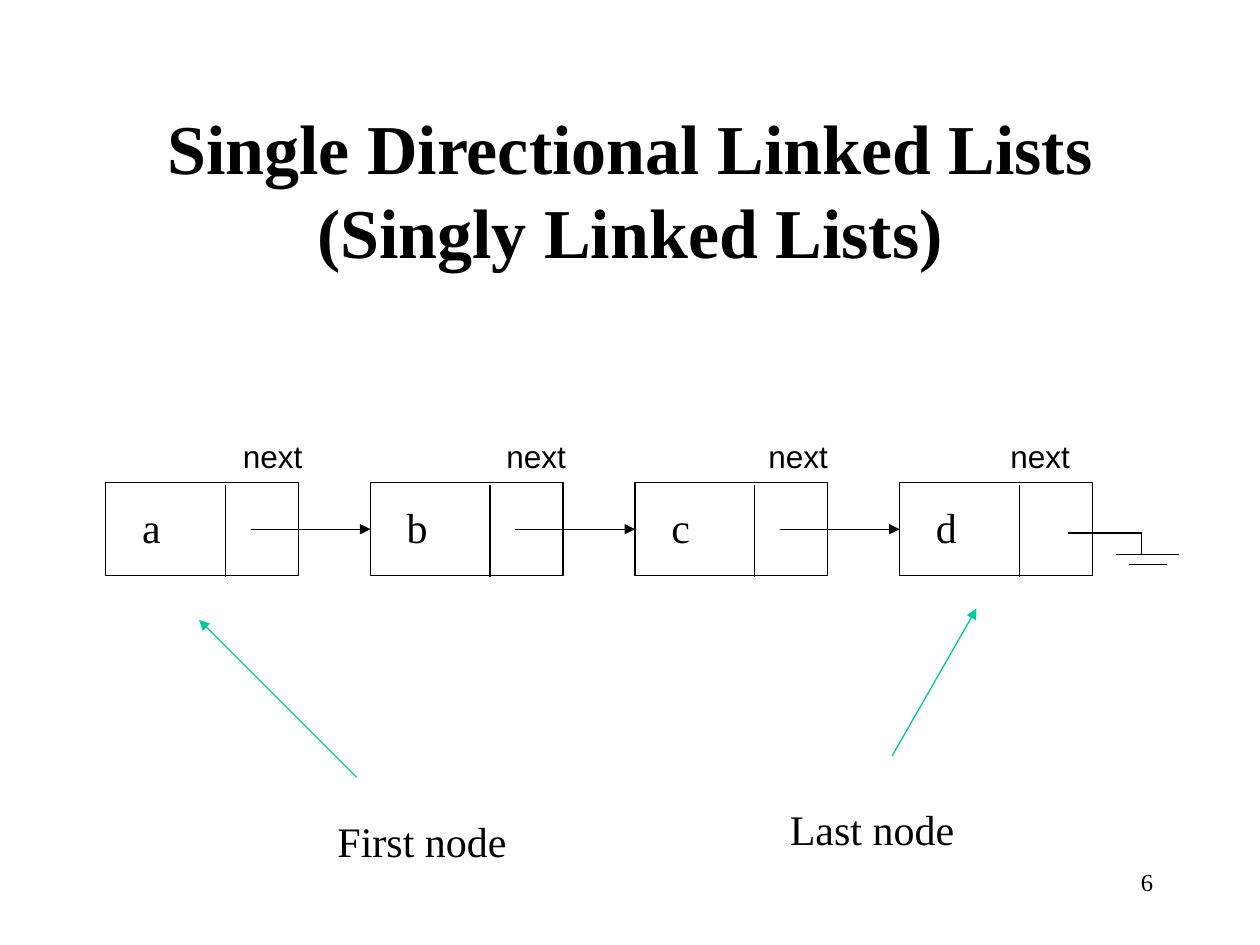
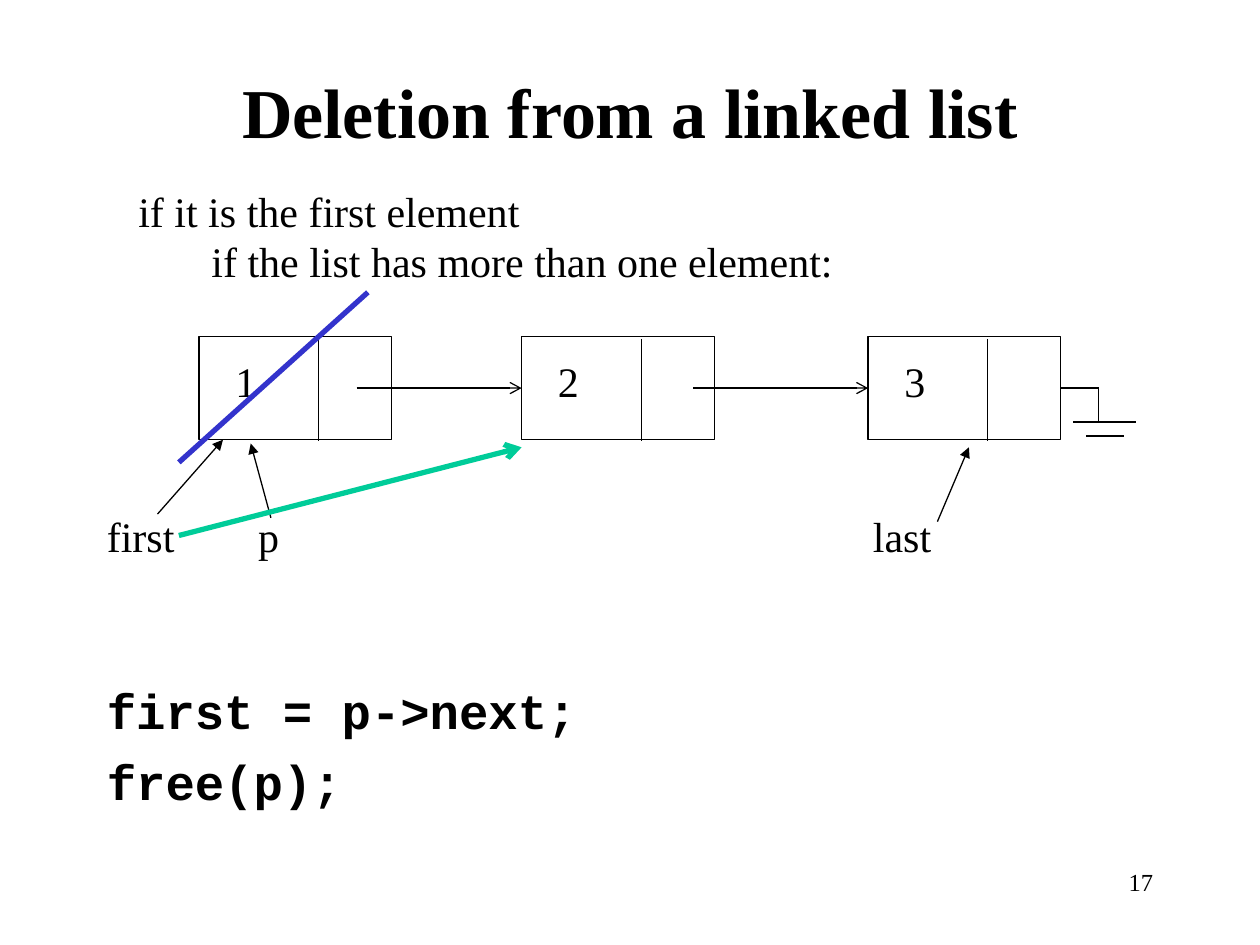
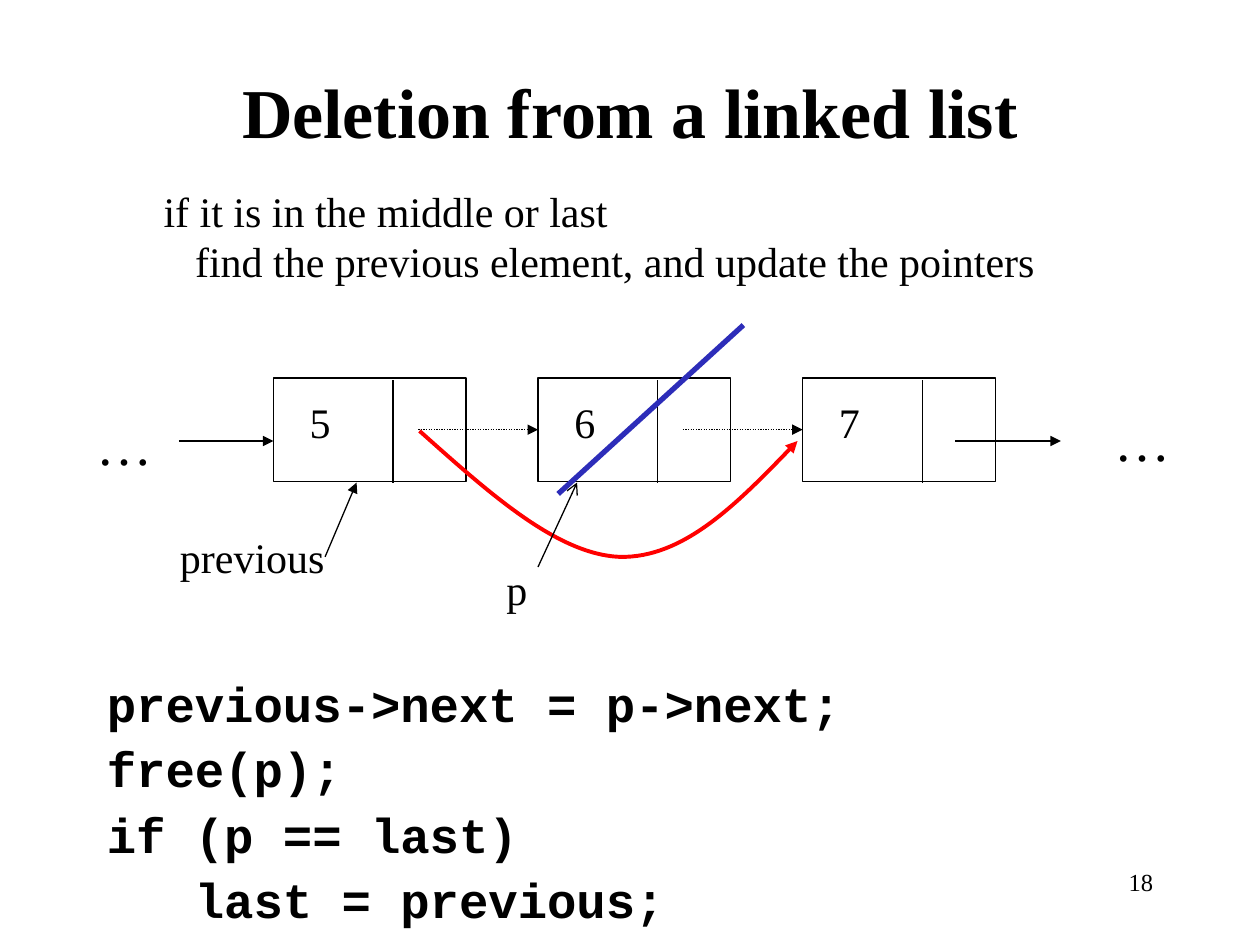
from pptx import Presentation
from pptx.dml.color import RGBColor
from pptx.enum.dml import MSO_LINE
from pptx.enum.shapes import MSO_CONNECTOR, MSO_SHAPE
from pptx.enum.text import MSO_ANCHOR, PP_ALIGN
from pptx.oxml.ns import qn
from pptx.util import Inches, Pt
from lxml.etree import SubElement

BLACK, WHITE, GREEN, RED = "000000", "FFFFFF", "00CC99", "FF0000"
SERIF = "Times New Roman"
TITLE = {"name": SERIF, "size": Pt(40), "bold": True}
BODY = {"name": SERIF, "size": Pt(24)}
DOTS = {"name": SERIF, "size": Pt(32)}
SMALL = {"name": SERIF, "size": Pt(14)}
LABEL = {"name": "Arial", "size": Pt(18)}
CODE = {"name": "Courier New", "size": Pt(28), "bold": True}
NODE_W, SPLIT = 1.53, 0.95
TOP, LEFT, RIGHT = 0, 1, 3


def color(text):
    return RGBColor.from_string(text)


class Deck:
    def __init__(self):
        self.prs = Presentation()
        self.prs.slide_width, self.prs.slide_height = Inches(10), Inches(7.5)

    def page(self, title, number, height=0.75):
        self.slide = self.prs.slides.add_slide(self.prs.slide_layouts[6])
        self.shapes = self.slide.shapes
        self.text(0.75, 0.5, 8.5, height, [title], TITLE,
                  {"alignment": PP_ALIGN.CENTER}, MSO_ANCHOR.MIDDLE)
        self.text(7.17, 6.83, 2.08, 0.5, [number], SMALL,
                  {"alignment": PP_ALIGN.RIGHT})

    def text(self, x, y, w, h, lines, font=BODY, form=None,
             anchor=MSO_ANCHOR.TOP, gap=0, indent=0):
        """Write one paragraph per line; gap and indent skip the first."""
        frame = self.shapes.add_textbox(*map(Inches, (x, y, w, h))).text_frame
        frame.word_wrap, frame.vertical_anchor = True, anchor
        for i, line in enumerate(lines):
            para = frame.add_paragraph() if i else frame.paragraphs[0]
            para.text = line
            for key, value in (form or {}).items():
                setattr(para, key, value)
            if i and gap:
                para.space_before = Pt(gap)
            if i and indent:
                para._p.get_or_add_pPr().set("marL", str(Inches(indent)))
            for run in para.runs:
                run.font.color.rgb = color(BLACK)
                for key, value in font.items():
                    setattr(run.font, key, value)

    def code(self, lines, height, spacing=1.0):
        self.text(0.75, 5.35, 8.5, height, lines, CODE,
                  {"line_spacing": spacing}, gap=7)

    def stroke(self, shape, tint=BLACK, width=0.75, head=None, dash=None):
        line = shape.line
        line.color.rgb, line.width = color(tint), Pt(width)
        if dash:
            line.dash_style = dash
        props = shape._element.spPr
        if head:
            SubElement(props.get_or_add_ln(), qn("a:tailEnd"), type=head)
        if props.find(qn("a:effectLst")) is None:
            SubElement(props, qn("a:effectLst"))

    def line(self, x1, y1, x2, y2, **style):
        link = self.shapes.add_connector(
            MSO_CONNECTOR.STRAIGHT, *map(Inches, (x1, y1, x2, y2)))
        self.stroke(link, **style)
        return link

    def node(self, x, y, h, name):
        """Draw a list node: a box split into a value and a pointer cell."""
        box = self.shapes.add_shape(
            MSO_SHAPE.RECTANGLE, *map(Inches, (x, y, NODE_W, h)))
        box.shadow.inherit = False
        box.fill.solid()
        box.fill.fore_color.rgb = color(WHITE)
        self.stroke(box)
        self.line(x + SPLIT, y + 0.02, x + SPLIT, y + h + 0.01)
        self.text(x + 0.19, y + 0.1, 0.77, h - 0.2, [name])
        return box

    def chain(self, lefts, y, h, names, starts, **style):
        """Draw nodes, each pointing to the next from starts inside it."""
        boxes = [self.node(x, y, h, name) for x, name in zip(lefts, names)]
        mid = y + h / 2
        for x, start, end, box in zip(lefts, starts, lefts[1:], boxes[1:]):
            self.line(x + start, mid, end, mid, **style).end_connect(box, LEFT)
        return boxes

    def ground(self, start, x, y, bar, gap):
        """Draw the null sign that ends a list; return its lead."""
        lead = self.line(start, y, x, y)
        self.line(x, y, x, bar)
        self.line(x - 0.2, bar, x + 0.3, bar)
        self.line(x - 0.1, bar + gap, x + 0.2, bar + gap)
        return lead

    def curve(self, points, **style):
        """Draw Bezier arcs through a start and three points per arc."""
        spots = [(Inches(x), Inches(y)) for x, y in points]
        form = self.shapes.build_freeform(*spots[0])
        form.add_line_segments(spots[1:], close=False)
        shape = form.convert_to_shape()
        shape.shadow.inherit = False
        shape.fill.background()
        self.stroke(shape, **style)
        track = next(shape._element.iter(qn("a:path")))
        steps = track.findall(qn("a:lnTo"))
        for i in range(0, len(steps), 3):
            arc = SubElement(track, qn("a:cubicBezTo"))
            for step in steps[i:i + 3]:
                arc.append(step[0])
                track.remove(step)


def intro(deck):
    deck.page("Single Directional Linked Lists\v(Singly Linked Lists)", "6", 2)
    lefts = [0.84 + 2.1 * i for i in range(4)]
    deck.chain(lefts, 3.83, 0.74, "abcd", [1.15] * 3, head="triangle")
    deck.ground(8.48, 9.06, 4.23, 4.4, 0.08)
    for x in (1.83, 3.92, 6, 7.92):
        deck.text(x, 3.42, 0.92, 0.4, ["next"], LABEL)
    deck.line(2.83, 6.17, 1.58, 4.92, tint=GREEN, head="triangle")
    deck.line(7.08, 6, 7.75, 4.83, tint=GREEN, head="triangle")
    deck.text(2.58, 6.42, 1.92, 0.5, ["First node"])
    deck.text(6.17, 6.33, 2.17, 0.5, ["Last node"])


def first(deck):
    deck.page("Deletion from a linked list", "17")
    deck.text(1, 1.42, 6.83, 0.9,
              ["if it is the first element",
               "if the list has more than one element:"], indent=0.58)
    boxes = deck.chain([1.58, 4.14, 6.89], 2.67, 0.82, "123",
                       [1.25, 1.36], head="arrow")
    deck.ground(8.42, 8.72, 3.08, 3.35, 0.11).begin_connect(boxes[-1], RIGHT)
    for x, name in ((0.75, "first"), (1.95, "p"), (6.83, "last")):
        deck.text(x, 4, 1, 0.5, [name])
    for ends in ((1.25, 4.08, 1.77, 3.49), (2.15, 4.11, 1.99, 3.52),
                 (7.44, 4.14, 7.69, 3.55)):
        deck.line(*ends, head="triangle")
    deck.line(2.92, 2.32, 1.42, 3.67, tint="3333CC", width=3)
    deck.line(1.42, 4.25, 4.14, 3.55, tint=GREEN, width=3, head="arrow")
    deck.code(["first = p->next;", "free(p);"], 1.57)


def middle(deck):
    deck.page("Deletion from a linked list", "18")
    deck.text(1.2, 1.42, 7.4, 0.9,
              ["if it is in the middle or last",
               "find the previous element, and update the pointers"],
              indent=0.25)
    lefts = [2.17 + 2.1 * i for i in range(3)]
    deck.chain(lefts, 3, 0.82, "567", [1.15] * 2, head="triangle",
               dash=MSO_LINE.ROUND_DOT)
    for ends in ((1.42, 3.5, 2.17, 3.5), (7.58, 3.5, 8.42, 3.5),
                 (2.58, 4.42, 2.83, 3.83)):
        deck.line(*ends, head="triangle")
    for x, y in ((0.67, 3.2), (8.75, 3.17)):
        deck.text(x, y, 0.83, 0.64, ["…"], DOTS)
    deck.curve([(3.33, 3.42), (3.88, 3.91), (4.42, 4.4), (4.92, 4.42),
                (5.42, 4.43), (5.88, 3.97), (6.33, 3.5)],
               tint=RED, width=2.25, head="triangle")
    deck.text(1.33, 4.17, 1.5, 0.5, ["previous"])
    deck.text(3.92, 4.42, 1.5, 0.5, ["p"])
    deck.line(4.27, 4.5, 4.58, 3.83, head="arrow")
    deck.line(5.9, 2.58, 4.43, 3.92, tint="2D2DB9", width=3)
    deck.code(["previous->next = p->next;", "free(p);", "if (p == last)",
               "   last = previous;"], 2.15, 0.9)


def main():
    deck = Deck()
    for build in (intro, first, middle):
        build(deck)
    deck.prs.save("out.pptx")


if __name__ == "__main__":
    main()
